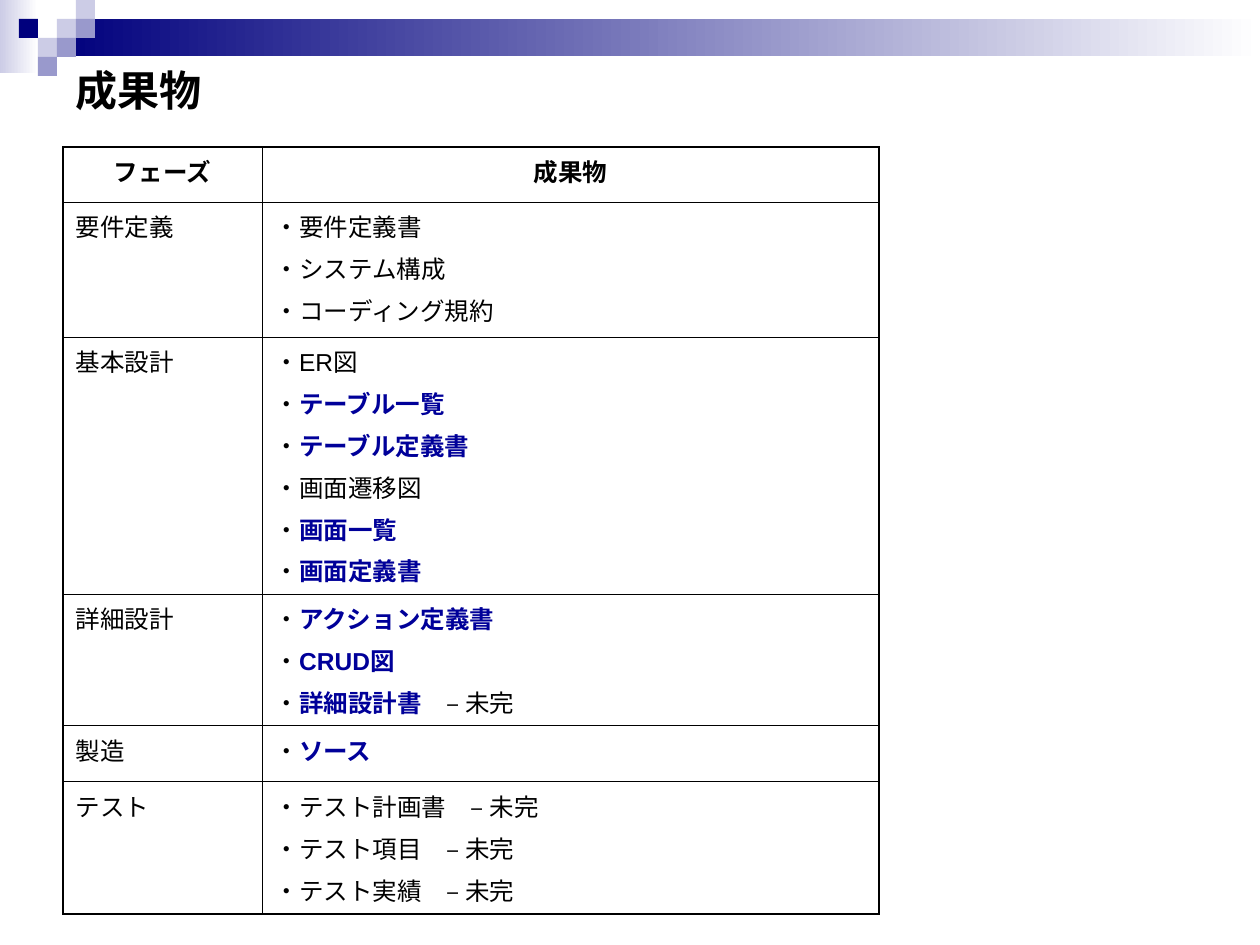
from pptx import Presentation
from pptx.dml.color import RGBColor
from pptx.enum.lang import MSO_LANGUAGE_ID
from pptx.enum.shapes import MSO_SHAPE
from pptx.enum.text import MSO_ANCHOR, PP_ALIGN
from pptx.oxml import parse_xml
from pptx.oxml.ns import nsdecls, qn
from pptx.util import Pt

BLACK, NAVY, BLUE = "000000", "00007D", "000099"
LILAC, MAUVE, WHITE = "CCCCE6", "9999CC", "FFFFFF"
STEP = 19
TILES = [(3, 1, LILAC), (4, 0, LILAC), (4, 1, MAUVE), (2, 2, LILAC),
         (1, 1, NAVY), (3, 2, MAUVE), (2, 3, MAUVE)]
COLS = [199, 617]
ROWS = [
    (55, "*フェーズ*", ["*成果物*"]),
    (135, "要件定義", ["・要件定義書", "・システム構成", "・コーディング規約"]),
    (257, "基本設計", ["・ER図", "・*テーブル一覧*", "・*テーブル定義書*",
                   "・画面遷移図", "・*画面一覧*", "・*画面定義書*"]),
    (132, "詳細設計", ["・*アクション定義書*", "・*CRUD図*",
                   "・*詳細設計書*　– 未完"]),
    (56, "製造", ["・*ソース*"]),
    (132, "テスト", ["・テスト計画書　– 未完", "・テスト項目　– 未完",
                  "・テスト実績　– 未完"]),
]


def px(num):
    return round(num * 914400 / 126)


def hue(code):
    return RGBColor.from_string(code)


def put(item, form):
    for key, val in form.items():
        setattr(item, key, val)


def write(para, text, size, strong, **form):
    put(para, form)
    for num, part in enumerate(text.split("*")):
        if part:
            run = para.add_run()
            run.text = part
            bold = num % 2 == 1
            put(run.font, {"name": "Arial", "size": Pt(size), "bold": bold,
                           "language_id": MSO_LANGUAGE_ID.JAPANESE})
            run.font.color.rgb = hue(strong if bold else BLACK)
            latin = run._r.get_or_add_rPr().find(qn("a:latin"))
            latin.addnext(parse_xml(
                f'<a:ea {nsdecls("a")} typeface="Noto Sans CJK JP"/>'))


def block(slide, box, tint, fade=None):
    shape = slide.shapes.add_shape(MSO_SHAPE.RECTANGLE, *map(px, box))
    shape.shadow.inherit = False
    shape.line.fill.background()
    if fade:
        shape.fill.gradient()
        shape.fill.gradient_angle = 0
        for stop, code in zip(shape.fill.gradient_stops, (tint, fade)):
            stop.color.rgb = hue(code)
    else:
        shape.fill.solid()
        shape.fill.fore_color.rgb = hue(tint)


def banner(slide, left, top, width, height):
    block(slide, (left, top, 2 * STEP, height), LILAC, WHITE)
    start = 3 * STEP
    block(slide, (left + start, top + STEP, width - start, 2 * STEP - 1),
          NAVY, WHITE)
    for col, row, tint in TILES:
        block(slide, (left + col * STEP, top + row * STEP, STEP, STEP), tint)


def title(slide, left, top, width, height):
    box = slide.shapes.add_textbox(*map(px, (left, top, width, height)))
    frame = box.text_frame
    put(frame, {"word_wrap": True, "vertical_anchor": MSO_ANCHOR.MIDDLE})
    write(frame.paragraphs[0], "*成果物*", 24, BLACK)


def edge(cell, sides):
    prop = cell._tc.get_or_add_tcPr()
    for num, (side, outer) in enumerate(sides.items()):
        wide = Pt(1.08 if outer else 0.45)
        prop.insert(num, parse_xml(
            f'<a:{side} {nsdecls("a")} w="{wide}"><a:solidFill>'
            f'<a:srgbClr val="{BLACK}"/></a:solidFill></a:{side}>'))


def grid(slide, left, top, width, height):
    table = slide.shapes.add_table(
        len(ROWS), len(COLS), *map(px, (left, top, width, height))).table
    put(table, {"first_row": False, "horz_banding": False})
    for col, wide in zip(table.columns, COLS):
        col.width = px(wide)
    for row, (high, phase, items) in enumerate(ROWS):
        table.rows[row].height = px(high)
        for col, lines in enumerate(([phase], items)):
            cell = table.cell(row, col)
            cell.fill.background()
            edge(cell, {"lnL": col == 0, "lnR": col == len(COLS) - 1,
                        "lnT": row == 0, "lnB": row == len(ROWS) - 1})
            frame = cell.text_frame
            for num, line in enumerate(lines):
                para = frame.add_paragraph() if num else frame.paragraphs[0]
                write(para, line, 14, BLUE if row else BLACK,
                      space_before=Pt(3.5),
                      alignment=PP_ALIGN.LEFT if row else PP_ALIGN.CENTER)


def main():
    deck = Presentation()
    put(deck, {"slide_width": px(1260), "slide_height": px(945)})
    slide = deck.slides.add_slide(deck.slide_layouts[6])
    banner(slide, 0, 0, 1260, 73)
    title(slide, 63, 63, 1134, 53)
    grid(slide, 63, 147, sum(COLS), sum(row[0] for row in ROWS))
    deck.save("out.pptx")


if __name__ == "__main__":
    main()
